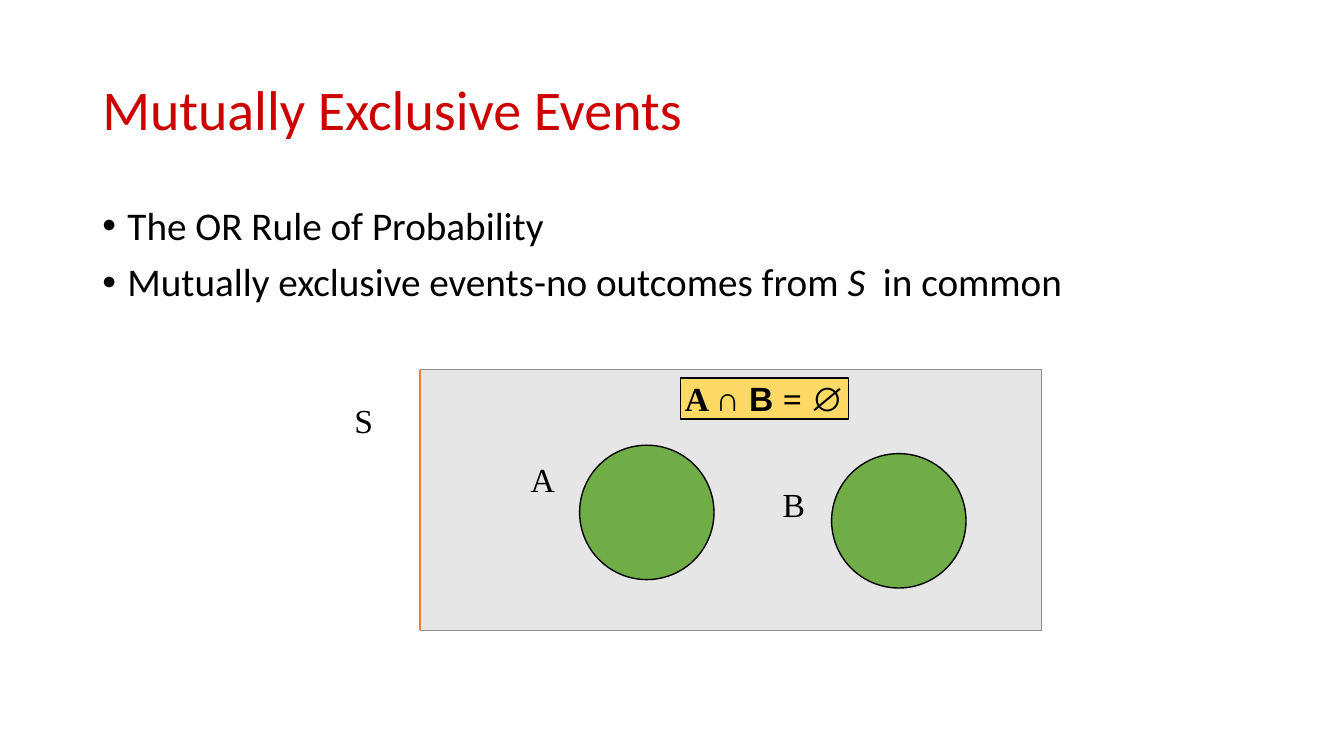
from lxml import etree
from pptx import Presentation
from pptx.dml.color import RGBColor
from pptx.enum.shapes import MSO_CONNECTOR, MSO_SHAPE
from pptx.enum.text import MSO_ANCHOR, PP_ALIGN
from pptx.oxml.ns import qn
from pptx.util import Pt

PX = 9525  # EMU per px, 96 px to the inch
RECTANGLE, OVAL = MSO_SHAPE.RECTANGLE, MSO_SHAPE.OVAL
STRAIGHT = MSO_CONNECTOR.STRAIGHT
TOP, MIDDLE = MSO_ANCHOR.TOP, MSO_ANCHOR.MIDDLE
CENTER = PP_ALIGN.CENTER

COLORS = {
    "title": "CD0000",
    "ink": "000000",
    "space": "E7E6E6",
    "space_edge": "8C8C8C",
    "accent": "ED7D31",
    "event": "70AD47",
    "formula": "FFD966",
}
SANS, SERIF, SYMBOL = "Calibri", "Times New Roman", "Arial"


def rgb(key):
    return RGBColor.from_string(COLORS[key])


def emu(*lengths):
    return [length * PX for length in lengths]


def style(font, size, name, color="ink"):
    font.size, font.name = Pt(size), name
    font.color.rgb = rgb(color)


def add_text(slide, box, text, size, name, color="ink", anchor=TOP):
    frame = slide.shapes.add_textbox(*emu(*box)).text_frame
    frame.word_wrap = True
    frame.vertical_anchor = anchor
    frame.text = text
    for paragraph in frame.paragraphs:
        for run in paragraph.runs:
            style(run.font, size, name, color)
    return frame


def add_outlined(slide, kind, box, fill, line="ink", width=1):
    outlined = slide.shapes.add_shape(kind, *emu(*box))
    outlined.shadow.inherit = False
    outlined.fill.solid()
    outlined.fill.fore_color.rgb = rgb(fill)
    outlined.line.color.rgb = rgb(line)
    outlined.line.width = Pt(width)
    return outlined


def add_edge(slide, x, top, bottom):
    edge = slide.shapes.add_connector(STRAIGHT, *emu(x, top, x, bottom))
    edge.line.color.rgb = rgb("accent")
    edge.line.width = Pt(1)
    etree.SubElement(edge._element.spPr, qn("a:effectLst"))


def add_bullets(slide, box, items):
    frame = slide.shapes.add_textbox(*emu(*box)).text_frame
    frame.word_wrap = True
    for index, parts in enumerate(items):
        paragraph = frame.add_paragraph() if index else frame.paragraphs[0]
        properties = paragraph._p.get_or_add_pPr()
        properties.set("marL", str(24 * PX))
        properties.set("indent", str(-24 * PX))
        etree.SubElement(properties, qn("a:buFont")).set("typeface", SYMBOL)
        etree.SubElement(properties, qn("a:buChar")).set("char", "•")
        paragraph.line_spacing = 0.9
        paragraph.space_before = Pt(10 if index else 0)
        for text, italic in parts:
            run = paragraph.add_run()
            run.text = text
            style(run.font, 28, SANS)
            run.font.italic = italic


def add_formula(slide, box, parts):
    frame = add_outlined(slide, RECTANGLE, box, "formula").text_frame
    frame.word_wrap = False
    frame.vertical_anchor = MIDDLE
    paragraph = frame.paragraphs[0]
    paragraph.alignment = CENTER
    for text, name in parts:
        run = paragraph.add_run()
        run.text = text
        style(run.font, 24, name)
        run.font.bold = True


def main():
    prs = Presentation()
    prs.slide_width, prs.slide_height = emu(1280, 720)
    slide = prs.slides.add_slide(prs.slide_layouts[6])

    # Title and statements
    title = add_text(slide, (88, 38, 1104, 139), "Mutually Exclusive Events",
                     40, SANS, "title", MIDDLE)
    title.paragraphs[0].line_spacing = 0.9
    add_bullets(slide, (88, 192, 1104, 457), [
        [("The OR Rule of Probability", False)],
        [("Mutually exclusive events-no outcomes from ", False),
         ("S", True), ("  in common", False)],
    ])

    # Sample space with its accented left edge
    left, top, width, height = 400, 352, 592, 248
    add_outlined(slide, RECTANGLE, (left, top, width, height),
                 "space", "space_edge", 0.5)
    add_edge(slide, left, top, top + height)

    # Disjoint events
    for x, y in ((552, 424), (792, 432)):
        add_outlined(slide, OVAL, (x, y, 128, 128), "event")

    # Set names
    for name, x, y in (("S", 328, 376), ("A", 496, 432), ("B", 736, 456)):
        add_text(slide, (x, y, 56, 49), name, 24, SERIF)

    # Empty intersection
    add_formula(slide, (648, 360, 160, 39),
                [("A ", SERIF), ("∩ Β ", SYMBOL), ("= ", SERIF), ("∅", SYMBOL)])

    prs.save("out.pptx")


if __name__ == "__main__":
    main()
